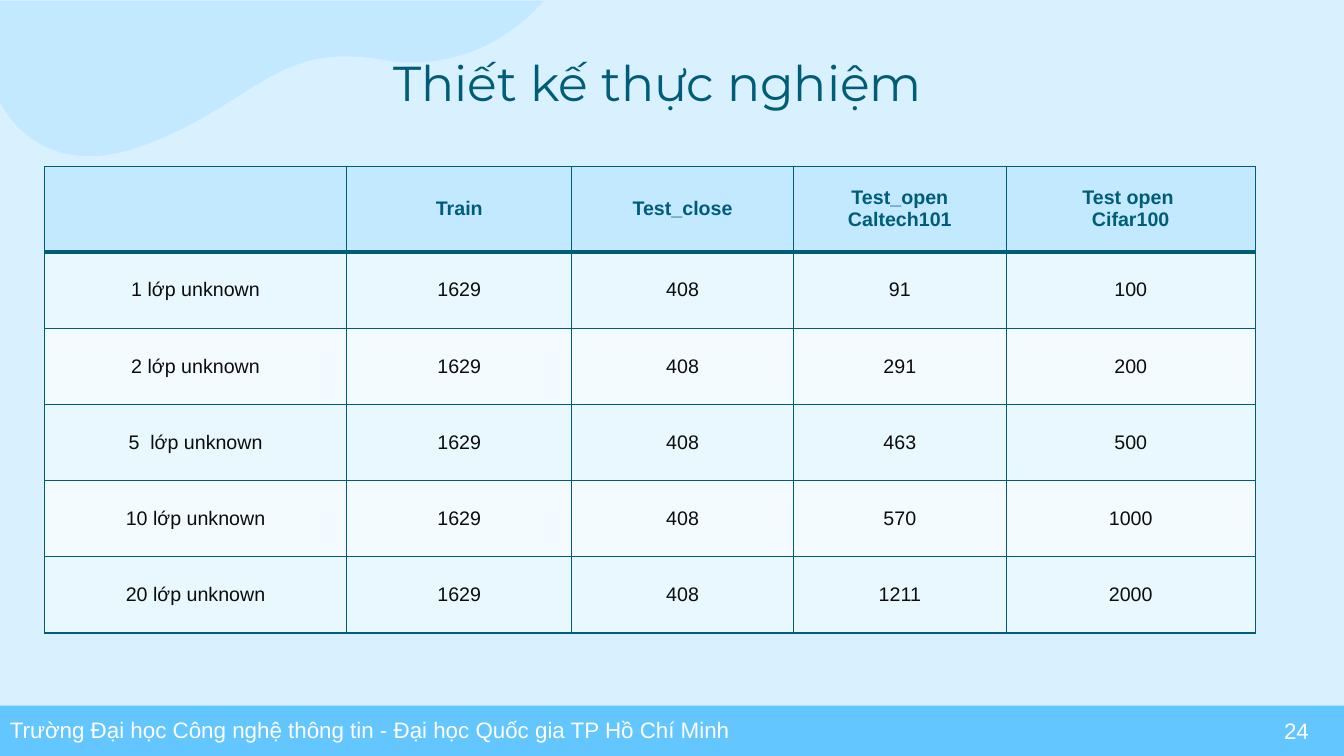
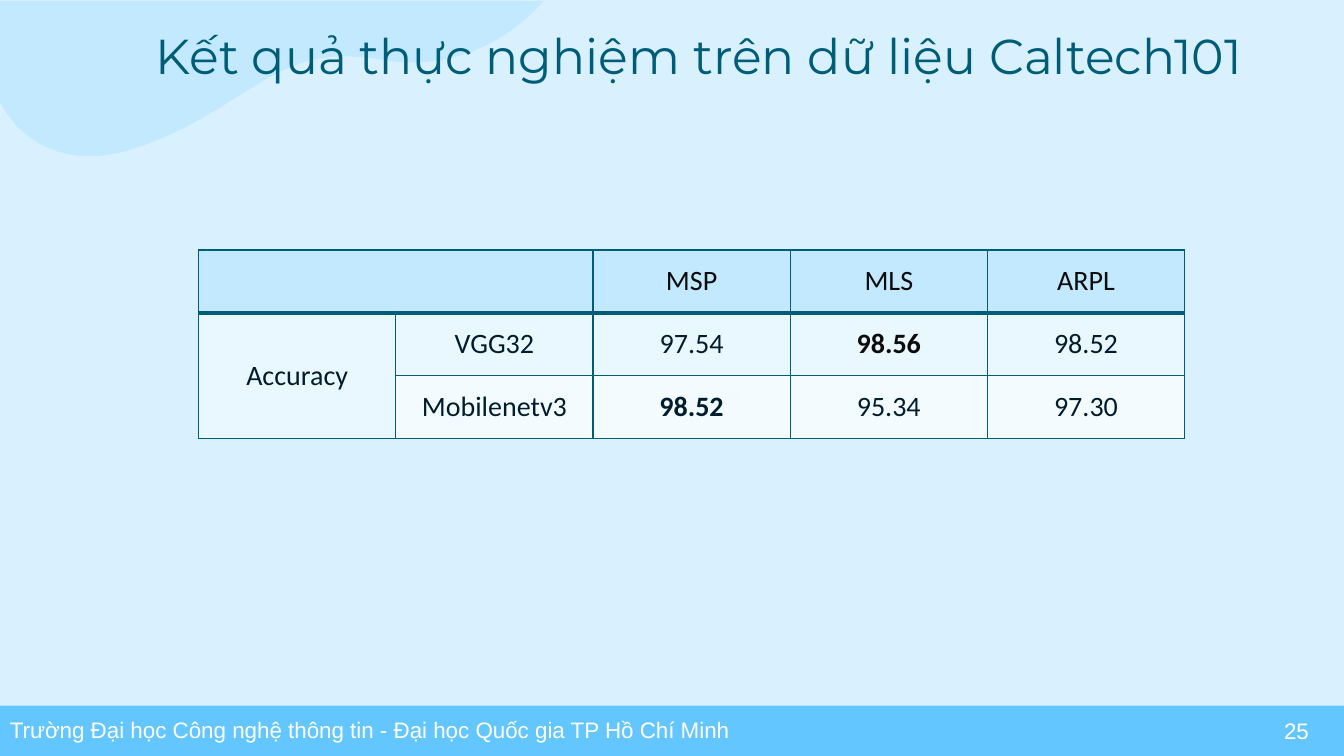
"""Build two slides with the experiment design and the Caltech101 results."""
from dataclasses import dataclass

from lxml.etree import SubElement as Sub
from pptx import Presentation
from pptx.dml.color import RGBColor as RGB
from pptx.enum.shapes import MSO_SHAPE as SHAPE
from pptx.enum.text import MSO_ANCHOR as ANCHOR, MSO_AUTO_SIZE as AUTO, PP_ALIGN as ALIGN
from pptx.oxml.ns import qn
from pptx.util import Inches, Pt


@dataclass(frozen=True)
class Theme:
    page: str = "D9F1FF"
    band: str = "63C6FF"
    pale: str = "C2E9FF"
    teal: str = "005D77"
    odd: str = "E9F7FF"
    even: str = "F4FBFF"
    white: str = "FFFFFF"
    black: str = "0C0C0C"
    navy: str = "001D2D"
    title_size: int = 35
    footer_size: int = 16
    design_size: int = 14
    result_size: int = 20


T = Theme()
TITLE = {"name": "Montserrat", "size": Pt(T.title_size), "color": T.teal, "bold": False}
FOOTER = {"name": "Arial", "size": Pt(T.footer_size), "color": T.white, "bold": False}
DESIGN = {"name": "Arial", "size": Pt(T.design_size), "color": T.black, "bold": False}
RESULT = {"name": "Calibri", "size": Pt(T.result_size), "color": T.navy, "bold": False}


def style_text(tf, align, font):
    for p in tf.paragraphs:
        p.alignment = align
        for r in p.runs:
            for key, value in font.items():
                if key == "color":
                    r.font.color.rgb = RGB.from_string(value)
                else:
                    setattr(r.font, key, value)


def style_cell(cell, fill, widths):
    cell.vertical_anchor = ANCHOR.MIDDLE
    tc_pr = cell._tc.get_or_add_tcPr()
    for side, width in zip("LRTB", widths):
        ln = Sub(tc_pr, qn(f"a:ln{side}"), w=str(Pt(width)))
        Sub(Sub(ln, qn("a:solidFill")), qn("a:srgbClr"), val=T.teal)
    cell.fill.solid()
    cell.fill.fore_color.rgb = RGB.from_string(fill)


TRAIN, CLOSED = "1629", "408"
OPEN_TESTS = [("1", "91", "100"), ("2", "291", "200"), ("5 ", "463", "500"),
              ("10", "570", "1000"), ("20", "1211", "2000")]
SLIDES = [
    {
        "title": "Thiết kế thực nghiệm",
        "title_at": (0.91, 0.42),
        "table_at": (0.44, 1.65),
        "cols": [3, 2.23, 2.2, 2.11, 2.47],
        "heights": [0.85] + [(4.63 - 0.85) / 5] * 5,
        "rows": [["", "Train", "Test_close", "Test_open\nCaltech101", "Test open \nCifar100"]]
        + [[f"{n} lớp unknown", TRAIN, CLOSED, caltech, cifar]
           for n, caltech, cifar in OPEN_TESTS],
        "head": {**DESIGN, "color": T.teal, "bold": True},
        "body": DESIGN,
        "special": {},
        "merges": [],
    },
    {
        "title": "Kết quả thực nghiệm trên dữ liệu Caltech101",
        "title_at": (1.32, 0.15),
        "table_at": (1.97, 2.48),
        "cols": [9.78 / 5] * 5,
        "heights": [1.87 / 3] * 3,
        "rows": [["", "", "MSP", "MLS", "ARPL"],
                 ["Accuracy", "VGG32", "97.54", "98.56", "98.52"],
                 ["", "Mobilenetv3", "98.52", "95.34", "97.30"]],
        "head": {**RESULT, "color": T.black},
        "body": RESULT,
        "special": {(1, 3): {"bold": True, "color": T.black}, (2, 2): {"bold": True}},
        "merges": [((0, 0), (0, 1)), ((1, 0), (2, 0))],
    },
]

prs = Presentation()
prs.slide_width, prs.slide_height = Inches(13.33), Inches(7.5)
layout = prs.slide_layouts[5]
for ph in list(layout.placeholders)[1:]:
    ph.element.getparent().remove(ph.element)
layout.background.fill.solid()
layout.background.fill.fore_color.rgb = RGB.from_string(T.page)
slides = [prs.slides.add_slide(layout) for _ in SLIDES]

shapes = slides[0].shapes
band = shapes.add_shape(SHAPE.RECTANGLE, 0, Inches(7), prs.slide_width, Inches(0.5))

wave_top = 0.01
curves = [
    [(0, 1.01), (0.23, 1.55), (0.89, 1.55)],
    [(1.04, 1.55), (1.22, 1.52), (1.43, 1.44)],
    [(2.38, 1.09), (2.67, 0.56), (3.42, 0.56)],
    [(3.53, 0.56), (3.64, 0.57), (3.77, 0.59)],
    [(3.88, 0.61), (3.99, 0.62), (4.09, 0.62)],
    [(4.92, 0.62), (5.39, 0.01), (5.39, 0.01)],
]
ends = [(0, 1.01)] + [curve[-1] for curve in curves]
builder = shapes.build_freeform(0, Inches(wave_top))
builder.add_line_segments([(Inches(x), Inches(y)) for x, y in ends], close=True)
wave = builder.convert_to_shape()
segments = list(wave.element.iter(qn("a:lnTo")))[1:]
for segment, curve in zip(segments, curves):
    bezier = segment.makeelement(qn("a:cubicBezTo"))
    for x, y in curve:
        Sub(bezier, qn("a:pt"), x=str(Inches(x)), y=str(Inches(y) - Inches(wave_top)))
    segment.getparent().replace(segment, bezier)

for sp, color in ((band, T.band), (wave, T.pale)):
    sp.shadow.inherit = False
    sp.fill.solid()
    sp.fill.fore_color.rgb = RGB.from_string(color)
    sp.line.fill.background()

school = shapes.add_textbox(0, Inches(7.06), Inches(7.5), Inches(0.37))
school.text_frame.word_wrap = True
school.text_frame.text = "Trường Đại học Công nghệ thông tin - Đại học Quốc gia TP Hồ Chí Minh"
style_text(school.text_frame, ALIGN.LEFT, FOOTER)

for sp in (band, wave, school):
    layout.shapes.element.append(sp.element)

for number, (s, data) in enumerate(zip(slides, SLIDES), start=24):
    title = s.shapes.title
    title.left, title.top = map(Inches, data["title_at"])
    title.width, title.height = Inches(11.23), Inches(0.99)
    tf = title.text_frame
    tf.text = data["title"]
    frame = {"word_wrap": True, "auto_size": AUTO.NONE, "vertical_anchor": ANCHOR.TOP}
    frame.update({f"margin_{side}": Inches(0.1) for side in ("left", "right", "top", "bottom")})
    for key, value in frame.items():
        setattr(tf, key, value)
    style_text(tf, ALIGN.CENTER, TITLE)

    page = s.shapes.add_textbox(Inches(10.08), Inches(7.05), Inches(3), Inches(0.4))
    page.text_frame.word_wrap = True
    page.text_frame.vertical_anchor = ANCHOR.MIDDLE
    page.text_frame.text = str(number)
    style_text(page.text_frame, ALIGN.RIGHT, FOOTER)

    rows, cols, heights = data["rows"], data["cols"], data["heights"]
    left, top = map(Inches, data["table_at"])
    table = s.shapes.add_table(len(rows), len(cols), left, top,
                               Inches(sum(cols)), Inches(sum(heights))).table
    table.horz_banding = False
    for col, width in zip(table.columns, cols):
        col.width = Inches(width)
    for i, (row, height) in enumerate(zip(rows, heights)):
        table.rows[i].height = Inches(height)
        fill = T.pale if i == 0 else T.odd if i % 2 else T.even
        widths = (1, 1, 3 if i == 1 else 1, 3 if i == 0 else 1)
        font = data["body"] if i else data["head"]
        for j, text in enumerate(row):
            cell = table.cell(i, j)
            style_cell(cell, fill, widths)
            if text:
                cell.text = text
                style_text(cell.text_frame, ALIGN.CENTER,
                           {**font, **data["special"].get((i, j), {})})
    for first, last in data["merges"]:
        table.cell(*first).merge(table.cell(*last))

prs.save("out.pptx")
